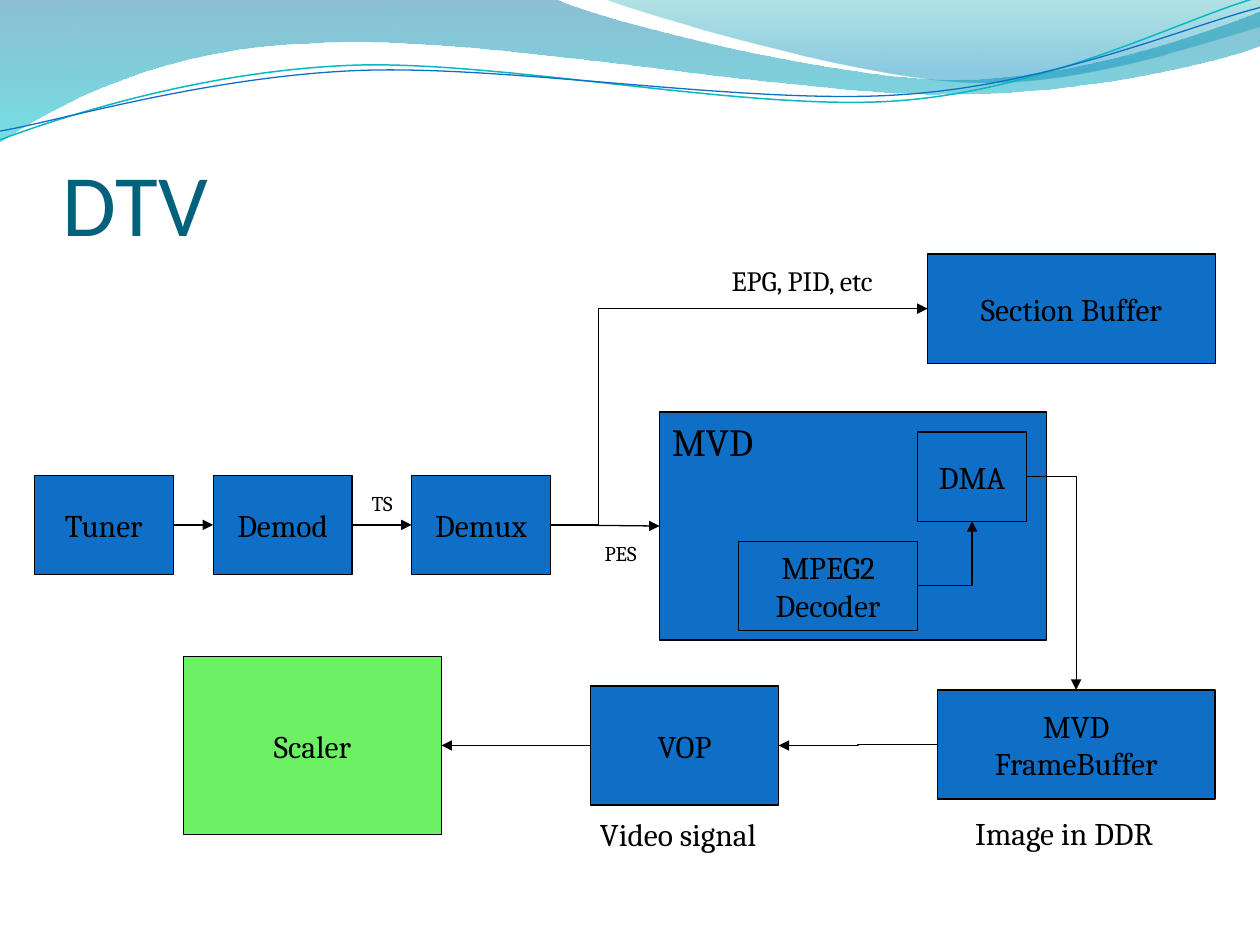
"""Build a slide with the block diagram of a digital TV signal path."""
import pptx
import pptx.dml.color
import pptx.enum.shapes
import pptx.enum.text
import pptx.oxml.ns
import pptx.util
from lxml import etree

Pt = pptx.util.Pt
qn = pptx.oxml.ns.qn
ANCHOR = pptx.enum.text.MSO_ANCHOR
ALIGN = pptx.enum.text.PP_ALIGN
CONNECTOR = pptx.enum.shapes.MSO_CONNECTOR

THEME = {
    "block": "0F6FC6", "scaler": "6CF165", "ink": "000000", "title": "04617B",
    "teal": "0AB8BF", "heading_font": "Calibri", "body_font": "Cambria",
    "heading": 50, "group": 22, "body": 18, "note": 16, "small": 12, "line": 0.75,
}

TITLE = ("DTV", (36, 55.4, 648, 90))

STAGES = ["Tuner", "Demod", "Demux"]
STAGE_LEFTS = [19.6, 121.8, 235.2]
STAGE_TOP, STAGE_SIZE = 271.6, (79.4, 56.7)

BLOCKS = [(name, (x, STAGE_TOP, *STAGE_SIZE)) for name, x in zip(STAGES, STAGE_LEFTS)] + [
    ("MVD", (376.9, 235.4, 221.1, 130.4)),
    ("DMA", (524.3, 246.9, 62.4, 51)),
    ("MPEG2\vDecoder", (422.1, 309.3, 102.2, 51)),
    ("MVD\vFrameBuffer", (535.6, 394.2, 158.7, 62.4)),
    ("VOP", (337.3, 392, 107.7, 68)),
    ("Scaler", (104.8, 375, 147.5, 102)),
    ("Section Buffer", (530.1, 145.2, 164.4, 62.4)),
]

TOP, LEFT, BOTTOM, RIGHT = range(4)
ARROWS = [
    ("Tuner", RIGHT, "Demod", LEFT, "line", None),
    ("Demod", RIGHT, "Demux", LEFT, "line", None),
    ("Demux", RIGHT, "MVD", LEFT, "line", None),
    ("Demux", RIGHT, "Section Buffer", LEFT, "bentConnector3", 12800),
    ("MPEG2\vDecoder", RIGHT, "DMA", BOTTOM, "bentConnector2", None),
    ("DMA", RIGHT, "MVD\vFrameBuffer", TOP, "bentConnector2", None),
    ("MVD\vFrameBuffer", LEFT, "VOP", RIGHT, "bentConnector3", 50000),
    ("VOP", LEFT, "Scaler", RIGHT, "bentConnector3", 50000),
]

LABELS = [
    ("TS", (205.2, 276.5, 29.5, 21.8), "small"),
    ("PES", (338.4, 305.3, 38, 21.8), "small"),
    ("EPG, PID, etc", (411, 147, 114.5, 26.6), "note"),
    ("Image in DDR", (550.1, 461.5, 127.4, 29), "body"),
    ("Video signal", (335.8, 462.2, 112.3, 29), "body"),
]

WAVES = [
    ((0, 0), [[(317, -0.7)],
              [(343, 12), (478, 45.4), (546, 45.4)], [(614, 45.4), (690, 18.7), (720, 6.5)],
              [(720.7, 26)],
              [(708, 31.7), (626, 54.7), (537, 54)], [(448, 54), (275, 20.2), (185, 24.5)],
              [(93, 26), (33, 59.8), (-0.7, 81.4)]],
     [(0, "0074A1", 45), (1, "00C6CF", 55)]),
    ((345, -0.7), [[(366.5, 8), (491, 44.6), (553.7, 46.8)],
                   [(616.3, 49.7), (692, 23), (720, 15.1)], [(720, 0)]],
     [(0, "00A1A9", 30), (0.8, "008BBF", 45)]),
]
STRANDS = [
    ((0, 79.9), [[(34.6, 67), (113.8, 41), (199.4, 37.4)],
                 [(284.4, 33.8), (427, 64.1), (513.4, 57.6)],
                 [(599.8, 51.1), (675.4, 10.8), (718.6, -1.4)]], "teal", 0.85),
    ((0, 74.9), [[(33.8, 69.1), (118, 43.9), (203.8, 40.3)],
                 [(290.2, 36.7), (429.8, 60.5), (516.2, 54)],
                 [(601.9, 48.2), (677.5, 15.1), (720, 4.3)]], "block", 0.75),
]


def rgb(value):
    return pptx.dml.color.RGBColor.from_string(value)


def add_curve(shapes, start, segments, close):
    builder = shapes.build_freeform(*map(Pt, start), scale=1.0)
    builder.add_line_segments([(Pt(x), Pt(y)) for seg in segments for x, y in seg], close=close)
    sp = builder.convert_to_shape()
    sp.shadow.inherit = False
    steps = iter(list(sp.element.spPr.iter(qn("a:lnTo"))))
    for segment in segments:
        group = [next(steps) for _ in segment]
        if len(group) == 3:
            curve = etree.Element(qn("a:cubicBezTo"))
            group[0].addprevious(curve)
            for step in group:
                curve.append(step[0])
                step.getparent().remove(step)
    return sp


def add_wave(shapes, start, segments, stops):
    sp = add_curve(shapes, start, segments, True)
    sp.line.fill.background()
    sp.fill.gradient()
    sp.fill.gradient_angle = 270
    for stop, (position, color, _) in zip(sp.fill.gradient_stops, stops):
        stop.position = position
        stop.color.rgb = rgb(color)
    for clr, (_, _, opacity) in zip(sp.element.spPr.iter(qn("a:srgbClr")), stops):
        etree.SubElement(clr, qn("a:alpha")).set("val", str(opacity * 1000))


def add_strand(shapes, start, segments, color, width):
    sp = add_curve(shapes, start, segments, False)
    sp.fill.background()
    set_line(sp, color, width)


def set_line(sp, color="ink", width=THEME["line"]):
    sp.line.color.rgb = rgb(THEME[color])
    sp.line.width = Pt(width)


def write(sp, text, size, font="body_font", color="ink", align=ALIGN.LEFT):
    tf = sp.text_frame
    p = tf.paragraphs[0]
    p.text = text
    p.alignment = align
    for r in p.runs:
        r.font.size = Pt(THEME[size])
        r.font.name = THEME[font]
        r.font.color.rgb = rgb(THEME[color])
    return tf


def add_block(shapes, name, box):
    sp = shapes.add_shape(pptx.enum.shapes.MSO_SHAPE.RECTANGLE, *map(Pt, box))
    sp.shadow.inherit = False
    sp.fill.solid()
    sp.fill.fore_color.rgb = rgb(THEME["scaler" if name == "Scaler" else "block"])
    set_line(sp)
    container = name == "MVD"
    tf = write(sp, name, "group" if container else "body",
               align=ALIGN.LEFT if container else ALIGN.CENTER)
    tf.word_wrap = False
    tf.vertical_anchor = ANCHOR.TOP if container else ANCHOR.MIDDLE
    return sp


def add_arrow(shapes, source, source_side, target, target_side, geometry, bend):
    kind = CONNECTOR.STRAIGHT if geometry == "line" else CONNECTOR.ELBOW
    cxn = shapes.add_connector(kind, 0, 0, 0, 0)
    cxn.begin_connect(source, source_side)
    cxn.end_connect(target, target_side)
    set_line(cxn)
    spPr = cxn.element.spPr
    geom = spPr.find(qn("a:prstGeom"))
    geom.set("prst", geometry)
    if bend is not None:
        guide = etree.SubElement(geom.find(qn("a:avLst")), qn("a:gd"))
        guide.set("name", "adj1")
        guide.set("fmla", f"val {bend}")
    etree.SubElement(spPr.find(qn("a:ln")), qn("a:tailEnd")).set("type", "triangle")
    etree.SubElement(spPr, qn("a:effectLst"))


def add_label(shapes, text, box, size):
    tf = write(shapes.add_textbox(*map(Pt, box)), text, size)
    tf.word_wrap = False
    tf.auto_size = pptx.enum.text.MSO_AUTO_SIZE.SHAPE_TO_FIT_TEXT


def add_title(shapes, text, box):
    tf = write(shapes.add_textbox(*map(Pt, box)), text, "heading", "heading_font", "title")
    tf.word_wrap = True
    tf.vertical_anchor = ANCHOR.BOTTOM
    tf.margin_left = tf.margin_right = tf.margin_bottom = 0


prs = pptx.Presentation()
prs.slide_width, prs.slide_height = Pt(720), Pt(540)
s = prs.slides.add_slide(prs.slide_layouts[6])
for wave in WAVES:
    add_wave(s.shapes, *wave)
for strand in STRANDS:
    add_strand(s.shapes, *strand)
add_title(s.shapes, *TITLE)
blocks = {name: add_block(s.shapes, name, box) for name, box in BLOCKS}
for source, source_side, target, target_side, geometry, bend in ARROWS:
    add_arrow(s.shapes, blocks[source], source_side, blocks[target], target_side, geometry, bend)
for label in LABELS:
    add_label(s.shapes, *label)
prs.save("out.pptx")
